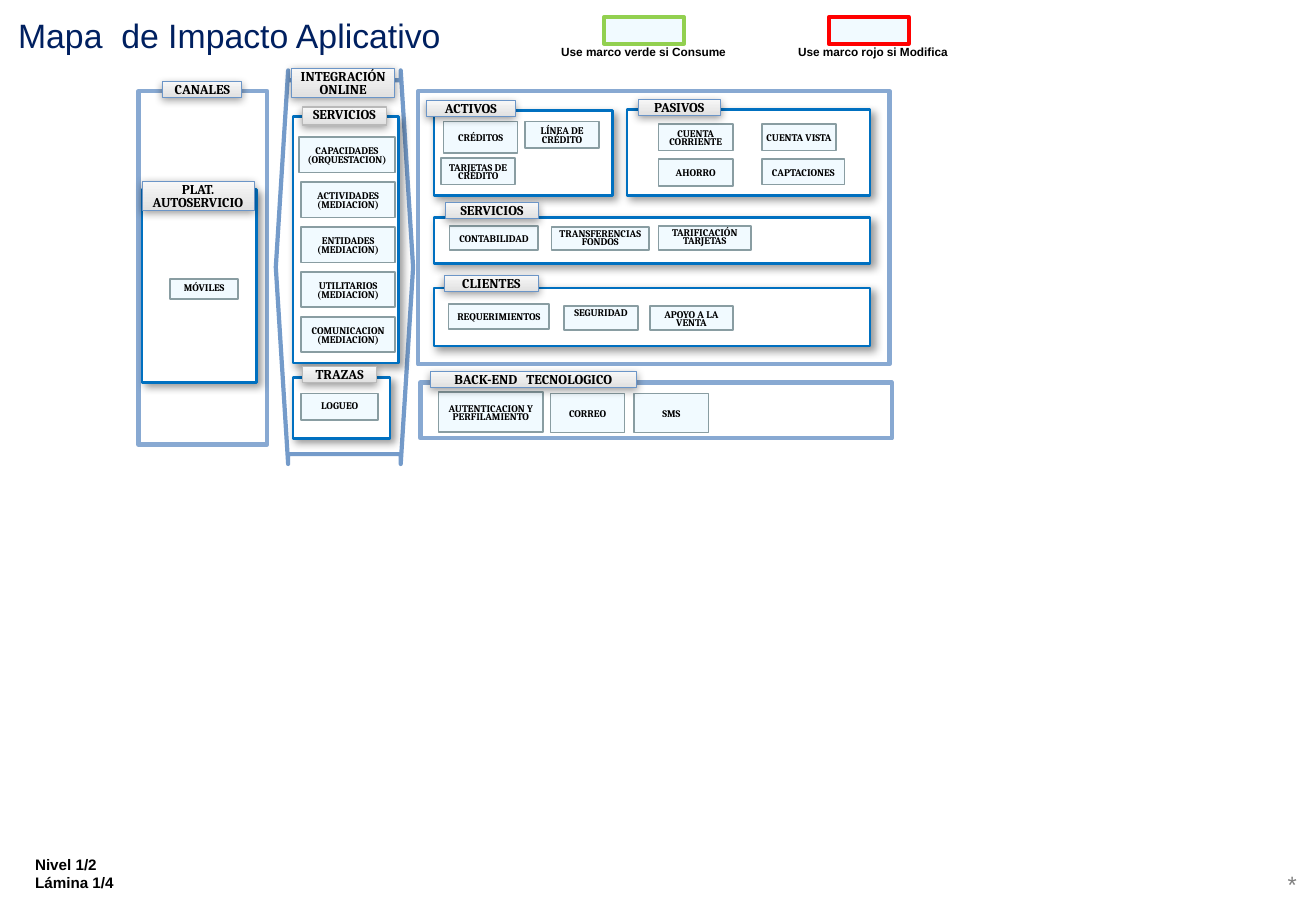
from lxml.etree import SubElement
from pptx import Presentation
from pptx.dml.color import RGBColor
from pptx.enum.shapes import MSO_SHAPE
from pptx.enum.text import MSO_ANCHOR, PP_ALIGN
from pptx.oxml.ns import qn
from pptx.util import Inches, Pt

COLS, ROWS = 1083, 750
CELL = Inches(0.01)

BLACK = RGBColor(0x00, 0x00, 0x00)
WHITE = RGBColor(0xFF, 0xFF, 0xFF)
NAVY = RGBColor(0x00, 0x20, 0x60)
GRAY = RGBColor(0x80, 0x80, 0x80)
GREEN = RGBColor(0x92, 0xD0, 0x50)
RED = RGBColor(0xFF, 0x00, 0x00)
ICE = RGBColor(0xCC, 0xEC, 0xFF)
SLATE = RGBColor(0x89, 0x9D, 0xA2)
BLUE = RGBColor(0x00, 0x70, 0xC0)
PALE = RGBColor(0x88, 0xA9, 0xD2)
STEEL = RGBColor(0x74, 0x9B, 0xCA)
EDGE = RGBColor(0x6B, 0x95, 0xC7)
SILVER = RGBColor(0xB9, 0xB9, 0xB9)
DARK = RGBColor(0xE1, 0xE1, 0xE1)
LIGHT = RGBColor(0xF7, 0xF7, 0xF7)

PANELS = [(114, 75, 106, 291), (344, 75, 388, 225), (346, 315, 388, 46)]

FRAMES = [
    (357, 179, 359, 38), (357, 237, 359, 48), (357, 91, 147, 70),
    (516, 90, 200, 71), (241, 96, 87, 203), (241, 311, 80, 50),
    (117, 156, 94, 159),
]

NODES = [
    ("CONTABILIDAD", 370, 186, 73, 20),
    ("REQUERIMIENTOS", 369, 250, 83, 21),
    ("APOYO A LA\nVENTA", 535, 252, 68, 20),
    ("CRÉDITOS", 365, 100, 61, 26),
    ("LÍNEA DE CRÉDITO", 432, 100, 61, 22),
    ("TARJETAS DE CRÉDITO", 363, 130, 61, 22),
    ("CUENTA CORRIENTE", 542, 102, 61, 22),
    ("CUENTA VISTA", 627, 102, 61, 22),
    ("AHORRO", 542, 131, 61, 22),
    ("CAPTACIONES", 627, 131, 68, 21),
    ("CAPACIDADES\n(ORQUESTACION)", 246, 113, 79, 29),
    ("AUTENTICACION Y\nPERFILAMIENTO", 361, 323, 86, 33),
    ("CORREO", 453, 324, 61, 32),
    ("SMS", 522, 324, 61, 32),
]

FLUSH = [
    ("TARIFICACIÓN TARJETAS", 542, 186, 76, 20),
    ("TRANSFERENCIAS\nFONDOS", 454, 187, 80, 19),
    ("LOGUEO", 248, 324, 63, 22),
    ("MÓVILES", 140, 230, 56, 16),
]

LAYERS = ["ACTIVIDADES", "ENTIDADES", "UTILITARIOS", "COMUNICACION"]

TAGS = [
    ("CANALES", 134, 67, 65, 13),
    ("ACTIVOS", 351, 83, 73, 13),
    ("PASIVOS", 525, 82, 68, 13),
    ("SERVICIOS", 367, 167, 76, 13),
    ("CLIENTES", 366, 227, 77, 13),
    ("INTEGRACIÓN ONLINE", 240, 56, 85, 24),
    ("BACK-END   TECNOLOGICO", 354, 306, 170, 13),
    ("PLAT. AUTOSERVICIO", 117, 149, 92, 24),
]


def grid(*cells):
    return [CELL * cell for cell in cells]


def write(shape, text, size=6, font="Cambria", color=BLACK, bold=True,
          align=PP_ALIGN.CENTER, anchor=MSO_ANCHOR.MIDDLE,
          pads=(0, 0, 0, 0), pitch=0.7, wrap=True):
    frame = shape.text_frame
    frame.word_wrap = wrap
    frame.vertical_anchor = anchor
    (frame.margin_left, frame.margin_top,
     frame.margin_right, frame.margin_bottom) = grid(*pads)
    frame.text = text
    for para in frame.paragraphs:
        para.alignment = align
        para.line_spacing = pitch
        for run in para.runs:
            run.font.size = Pt(size)
            run.font.name = font
            run.font.bold = bold
            run.font.color.rgb = color


def shade(shape, alpha, blur, dist, angle):
    effect = shape._element.spPr.find(qn("a:effectLst"))
    outer = SubElement(effect, qn("a:outerShdw"), blurRad=str(Pt(blur)),
                       dist=str(Pt(dist)), dir=str(angle * 60000),
                       algn="ctr", rotWithShape="0")
    tint = SubElement(outer, qn("a:srgbClr"), val="000000")
    SubElement(tint, qn("a:alpha"), val=str(alpha * 1000))


def draw(slide, area, line, width, fill=None, kind=MSO_SHAPE.RECTANGLE):
    shape = slide.shapes.add_shape(kind, *grid(*area))
    shape.shadow.inherit = False
    shape.line.color.rgb = line
    shape.line.width = Pt(width)
    if fill is None:
        shape.fill.background()
    else:
        shape.fill.solid()
        shape.fill.fore_color.rgb = fill
    return shape


def glass(slide, area, line, width):
    shape = draw(slide, area, line, width, ICE)
    tint = shape._element.spPr.find(qn("a:solidFill")).find(qn("a:srgbClr"))
    SubElement(tint, qn("a:alpha"), val="26000")
    return shape


def node(slide, text, *area, top=3, base=0):
    write(glass(slide, area, SLATE, 1), text, pads=(0, top, 0, base))


def tag(slide, text, *area, line=EDGE, width=0.5, base=0):
    shape = draw(slide, area, line, width)
    shape.fill.gradient()
    shape.fill.gradient_angle = 90
    for stop, color in zip(shape.fill.gradient_stops, (DARK, LIGHT)):
        stop.color.rgb = color
    shade(shape, 38, 5, 1.6, 90)
    write(shape, text, size=8, pads=(2, 2, 2, base), pitch=0.8)


def label(slide, text, *area, **style):
    look = dict(font="Arial", align=PP_ALIGN.LEFT, anchor=MSO_ANCHOR.TOP,
                pads=(10, 5, 10, 5), pitch=1.0, wrap=False)
    write(slide.shapes.add_textbox(*grid(*area)), text, **(look | style))


def main():
    deck = Presentation()
    deck.slide_width, deck.slide_height = grid(COLS, ROWS)
    slide = deck.slides.add_slide(deck.slide_layouts[6])

    label(slide, "Mapa  de Impacto Aplicativo", 5, 7, 402, 42,
          size=20, color=NAVY, bold=False)
    label(slide, "*", 1014, 711, 63, 32, size=14, color=GRAY, bold=False,
          align=PP_ALIGN.RIGHT, wrap=True)
    label(slide, "Nivel 1/2\nLámina 1/4", 19, 699, 85, 40, size=9)
    label(slide, "Use marco verde si Consume", 452, 32, 158, 22, size=7)
    label(slide, "Use marco rojo si Modifica", 647, 32, 145, 22, size=7)
    for left, color in ((497, GREEN), (682, RED)):
        glass(slide, (left, 14, 66, 22), color, 2.25)

    for area in PANELS:
        draw(slide, area, PALE, 2.5)
    arrow = draw(slide, (227, 58, 113, 324), STEEL, 2.5,
                 kind=MSO_SHAPE.LEFT_RIGHT_ARROW)
    arrow.adjustments[0] = 0.95
    arrow.adjustments[1] = 0.09
    for area in FRAMES:
        shade(draw(slide, area, BLUE, 1.5, WHITE), 40, 5, 3, 45)

    for item in NODES:
        node(slide, *item)
    for item in FLUSH:
        node(slide, *item, top=0)
    node(slide, "SEGURIDAD", 464, 252, 61, 20, top=0, base=7)
    for row, name in enumerate(LAYERS):
        node(slide, f"{name}\n(MEDIACION)", 248, 150 + 37 * row, 77, 29)

    for item in TAGS:
        tag(slide, *item)
    tag(slide, "SERVICIOS", 249, 88, 69, 15, line=SILVER, width=0.75, base=2)
    tag(slide, "TRAZAS", 249, 302, 61, 13, line=SILVER, width=0.75)

    deck.save("out.pptx")


if __name__ == "__main__":
    main()
